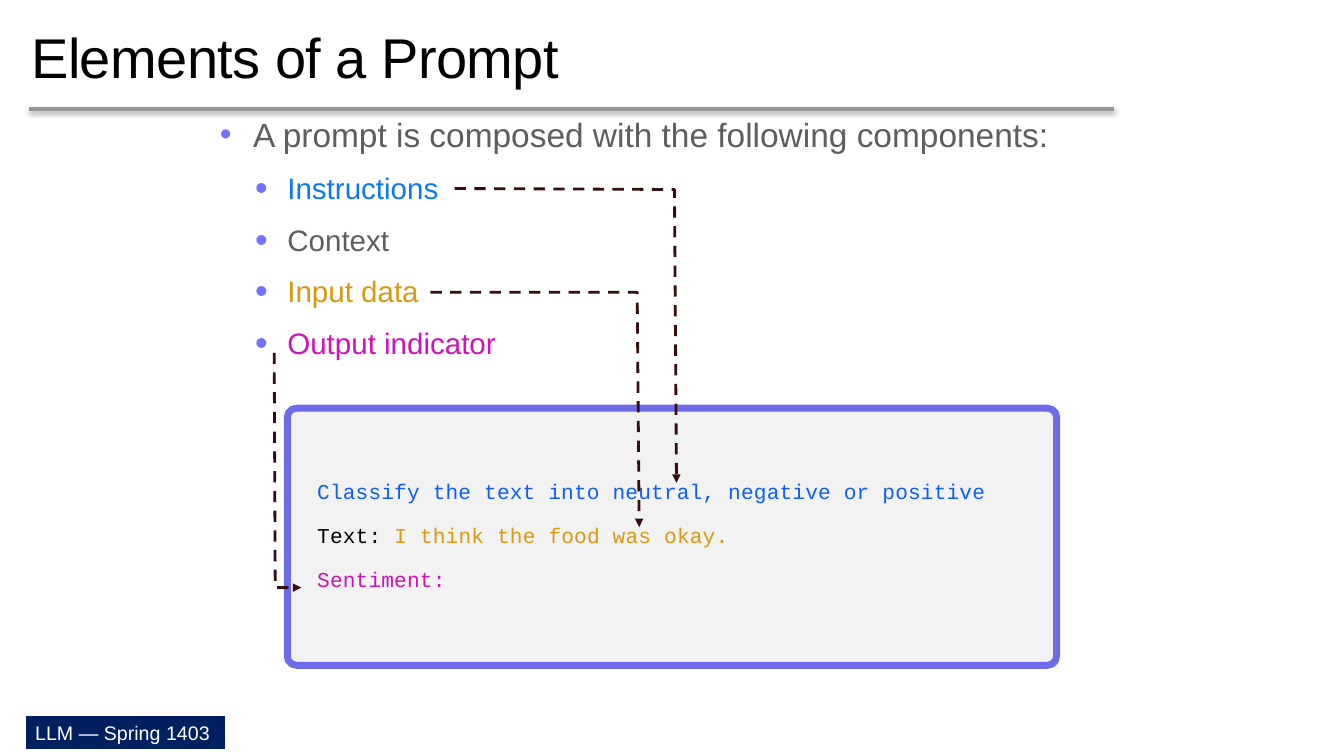
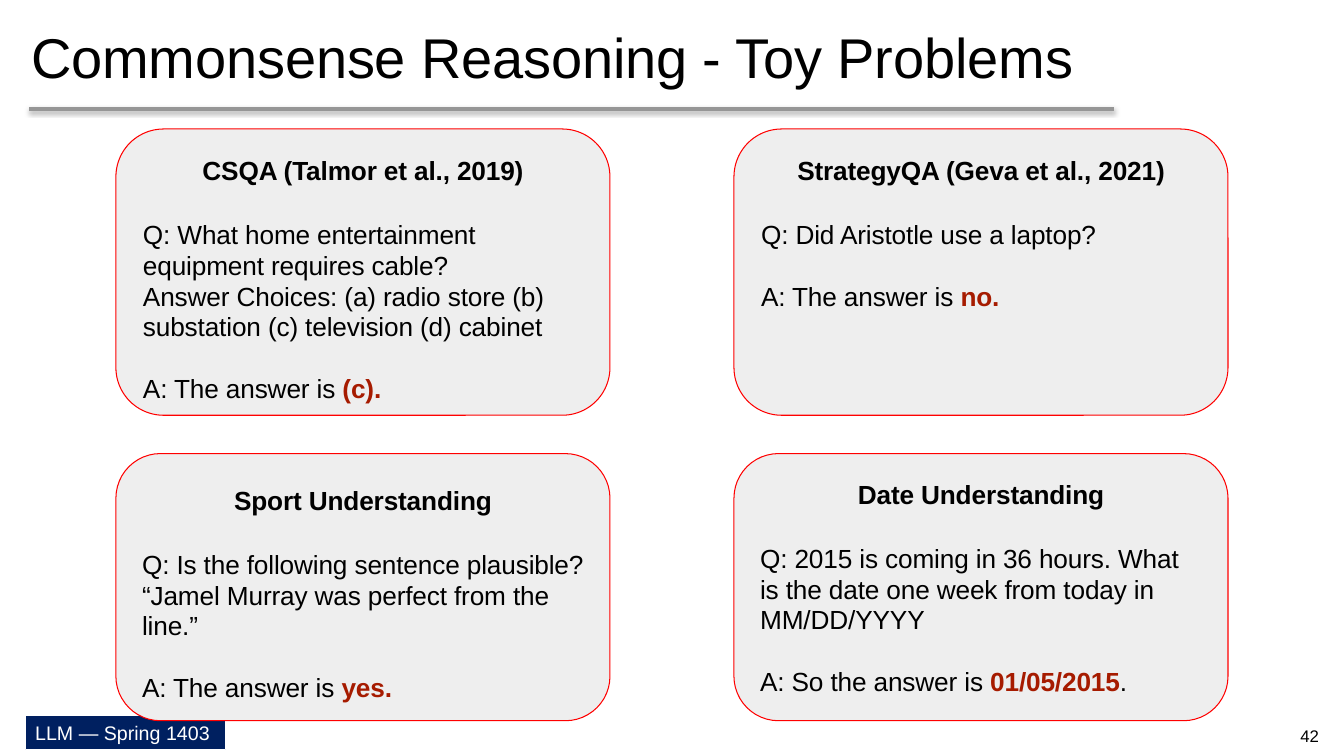
from dataclasses import dataclass

from lxml import etree
from pptx import Presentation
from pptx.dml.color import RGBColor
from pptx.enum.dml import MSO_LINE
from pptx.enum.shapes import MSO_CONNECTOR, MSO_SHAPE
from pptx.enum.text import MSO_ANCHOR, PP_ALIGN
from pptx.oxml.ns import qn
from pptx.util import Inches, Pt

LEFT, CENTER = PP_ALIGN.LEFT, PP_ALIGN.CENTER
TOP, MIDDLE = MSO_ANCHOR.TOP, MSO_ANCHOR.MIDDLE
DASH = MSO_LINE.DASH
RECTANGLE, ROUNDED = MSO_SHAPE.RECTANGLE, MSO_SHAPE.ROUNDED_RECTANGLE
STRAIGHT = MSO_CONNECTOR.STRAIGHT


@dataclass(frozen=True)
class Theme:
    sans: str = "Arial"
    mono: str = "Courier New"
    black: str = "000000"
    white: str = "FFFFFF"
    navy: str = "002060"
    rule: str = "969696"
    gray_text: str = "5E5E5E"
    bullet: str = "7571FF"
    instruction: str = "0C78F8"
    input_data: str = "D79911"
    output: str = "D112B8"
    prompt_instruction: str = "0E5FF6"
    prompt_input: str = "D99911"
    prompt_output: str = "CB14B7"
    prompt_fill: str = "F2F2F2"
    prompt_line: str = "6D6BE7"
    arrow: str = "350F0D"
    card_fill: str = "EEEEEE"
    card_line: str = "FF0000"
    answer: str = "A61B00"
    title_size: float = 40
    lead_size: float = 23.9
    item_size: float = 21.1
    card_size: float = 18.7
    code_size: float = 15.1
    footer_size: float = 14
    number_size: float = 12


THEME = Theme()


def color(code):
    return RGBColor.from_string(code)


def add_element(parent, tag, **attributes):
    return etree.SubElement(parent, qn(tag), attributes)


def set_bullet(paragraph, indent, hanging, percent):
    properties = paragraph._p.get_or_add_pPr()
    properties.set("marL", str(Inches(indent)))
    properties.set("indent", str(-Inches(hanging)))
    add_element(add_element(properties, "a:buClr"), "a:srgbClr", val=THEME.bullet)
    add_element(properties, "a:buSzPct", val=str(percent * 1000))
    add_element(properties, "a:buFont", typeface=THEME.sans)
    add_element(properties, "a:buChar", char="•")


def write(frame, text, size, font=THEME.sans, ink=THEME.black, bold=False,
          align=LEFT, before=0, line=None, tracking=0, bullet=None):
    paragraph = frame.paragraphs[0]
    if paragraph.runs:
        paragraph = frame.add_paragraph()
    if bullet:
        set_bullet(paragraph, *bullet)
    paragraph.alignment = align
    paragraph.space_before = Pt(before)
    if line:
        paragraph.line_spacing = Pt(line)
    pieces = [(text, {})] if isinstance(text, str) else text
    for words, changes in pieces:
        run = paragraph.add_run()
        run.text = words
        run.font.name = font
        run.font.size = Pt(size)
        run.font.bold = changes.get("bold", bold)
        run.font.color.rgb = color(changes.get("ink", ink))
        if tracking:
            run._r.get_or_add_rPr().set("spc", str(round(tracking * 100)))


def prepare_frame(shape, insets, anchor):
    frame = shape.text_frame
    frame.word_wrap = True
    frame.vertical_anchor = anchor
    (frame.margin_left, frame.margin_top,
     frame.margin_right, frame.margin_bottom) = map(Inches, insets)
    return frame


def add_text_box(slide, box, insets=(0, 0, 0, 0), anchor=TOP):
    shape = slide.shapes.add_textbox(*map(Inches, box))
    return prepare_frame(shape, insets, anchor)


def add_panel(slide, kind, box, fill, line, width, insets, anchor, radius=None):
    shape = slide.shapes.add_shape(kind, *map(Inches, box))
    shape.shadow.inherit = False
    shape.fill.solid()
    shape.fill.fore_color.rgb = color(fill)
    shape.line.color.rgb = color(line)
    shape.line.width = Pt(width)
    if radius is not None:
        shape.adjustments[0] = radius / min(box[2:])
    return prepare_frame(shape, insets, anchor)


def add_title_rule(slide, left, top, width):
    rule = slide.shapes.add_connector(
        STRAIGHT, Inches(left), Inches(top), Inches(left + width), Inches(top))
    rule.line.color.rgb = color(THEME.rule)
    rule.line.width = Pt(3)
    effects = add_element(rule._element.spPr, "a:effectLst")
    shadow = add_element(effects, "a:outerShdw", blurRad=str(Pt(3.1)),
                         dist=str(Pt(1.8)), dir="5400000", rotWithShape="0")
    shade = add_element(shadow, "a:srgbClr", val=THEME.black)
    add_element(shade, "a:alpha", val="35000")


def add_base_slide(presentation, title, tracking):
    slide = presentation.slides.add_slide(presentation.slide_layouts[6])
    footer = add_panel(slide, RECTANGLE, (0.25, 7.1, 1.99, 0.34), THEME.navy,
                       THEME.white, 0.75, (0.1, 0.05, 0.1, 0.05), MIDDLE)
    write(footer, "LLM — Spring 1403", THEME.footer_size, ink=THEME.white)
    add_title_rule(slide, 0.29, 1.08, 10.76)
    heading = add_text_box(slide, (0.29, 0.02, 12.75, 1.06), (0.02, 0.02, 0, 0), MIDDLE)
    write(heading, title, THEME.title_size, tracking=tracking)
    return slide


def add_component_list(slide, box):
    frame = add_text_box(slide, box, (0, 0.1, 0, 0))
    write(frame, "A prompt is composed with the following components:",
          THEME.lead_size, ink=THEME.gray_text, bullet=(0.34, 0.33, 100))
    components = [
        ("Instructions", THEME.instruction),
        ("Context", THEME.gray_text),
        ("Input data", THEME.input_data),
        ("Output indicator", THEME.output),
    ]
    for name, ink in components:
        write(frame, name, THEME.item_size, ink=ink, before=11.5, bullet=(0.68, 0.32, 123))


def add_prompt_example(slide, box):
    frame = add_panel(slide, ROUNDED, box, THEME.prompt_fill, THEME.prompt_line, 5,
                      (0.27, 0, 0.1, 0.03), MIDDLE, radius=0.09)
    lines = [
        [("Classify the text into neutral, negative or positive",
          {"ink": THEME.prompt_instruction})],
        [("Text: ", {}), ("I think the food was okay.", {"ink": THEME.prompt_input})],
        [("Sentiment:", {"ink": THEME.prompt_output})],
    ]
    for index, pieces in enumerate(lines):
        write(frame, pieces, THEME.code_size, font=THEME.mono, tracking=0.1,
              before=13.5 if index else 0)


def add_dashed_arrow(slide, points):
    start, *others = [(Inches(x), Inches(y)) for x, y in points]
    builder = slide.shapes.build_freeform(*start, scale=1.0)
    builder.add_line_segments(others, close=False)
    arrow = builder.convert_to_shape()
    arrow.shadow.inherit = False
    arrow.fill.background()
    arrow.line.color.rgb = color(THEME.arrow)
    arrow.line.width = Pt(2)
    arrow.line.dash_style = DASH
    add_element(arrow.line._get_or_add_ln(), "a:tailEnd", type="triangle")


def build_prompt_slide(presentation):
    slide = add_base_slide(presentation, "Elements of a Prompt", -0.4)
    add_component_list(slide, (2.17, 1.03, 8.25, 2.59))
    add_prompt_example(slide, (2.85, 4.05, 7.63, 2.55))
    arrows = [
        [(4.51, 1.87), (6.69, 1.88), (6.71, 4.79)],
        [(4.27, 2.9), (6.32, 2.9), (6.34, 5.23)],
        [(2.72, 3.5), (2.73, 5.83), (2.99, 5.83)],
    ]
    for points in arrows:
        add_dashed_arrow(slide, points)


def add_problem_card(slide, box, heading, question, answer, drop=0):
    frame = add_panel(slide, ROUNDED, box, THEME.card_fill, THEME.card_line, 0.75,
                      (0.13, 0.12 + drop, 0.13, 0), TOP, radius=box[3] / 6)
    body = {"size": THEME.card_size, "line": 22, "tracking": -0.1}
    write(frame, heading, bold=True, align=CENTER, **body)
    for index, text in enumerate(question):
        write(frame, text, before=0 if index else 23.7, **body)
    lead, result, *ending = answer
    pieces = [(lead, {}), (result, {"bold": True, "ink": THEME.answer})]
    pieces += [(text, {}) for text in ending]
    write(frame, pieces, before=22, **body)


def build_problems_slide(presentation):
    slide = add_base_slide(presentation, "Commonsense Reasoning - Toy Problems", -0.1)
    number = add_text_box(slide, (12.62, 7.1, 0.74, 0.4), anchor=MIDDLE)
    write(number, "42", THEME.number_size, align=CENTER)
    columns = (1.15, 7.28)
    rows = ((1.28, 2.84), (4.5, 2.65))
    cards = [
        ("CSQA (Talmor et al., 2019)",
         ["Q: What home entertainment equipment requires cable?",
          "Answer Choices: (a) radio store (b) substation (c) television (d) cabinet"],
         ["A: The answer is ", "(c)."], 0),
        ("StrategyQA (Geva et al., 2021)",
         ["Q: Did Aristotle use a laptop?"],
         ["A: The answer is ", "no."], 0),
        ("Sport Understanding",
         ["Q: Is the following sentence plausible? "
          "“Jamel Murray was perfect from the line.”"],
         ["A: The answer is ", "yes."], 0.06),
        ("Date Understanding",
         ["Q: 2015 is coming in 36 hours. What is the date one week "
          "from today in MM/DD/YYYY"],
         ["A: So the answer is ", "01/05/2015", "."], 0),
    ]
    for index, card in enumerate(cards):
        row, column = divmod(index, len(columns))
        top, height = rows[row]
        add_problem_card(slide, (columns[column], top, 4.9, height), *card)


def main():
    presentation = Presentation()
    presentation.slide_width = Inches(13.33)
    presentation.slide_height = Inches(7.5)
    build_prompt_slide(presentation)
    build_problems_slide(presentation)
    presentation.save("out.pptx")


if __name__ == "__main__":
    main()
